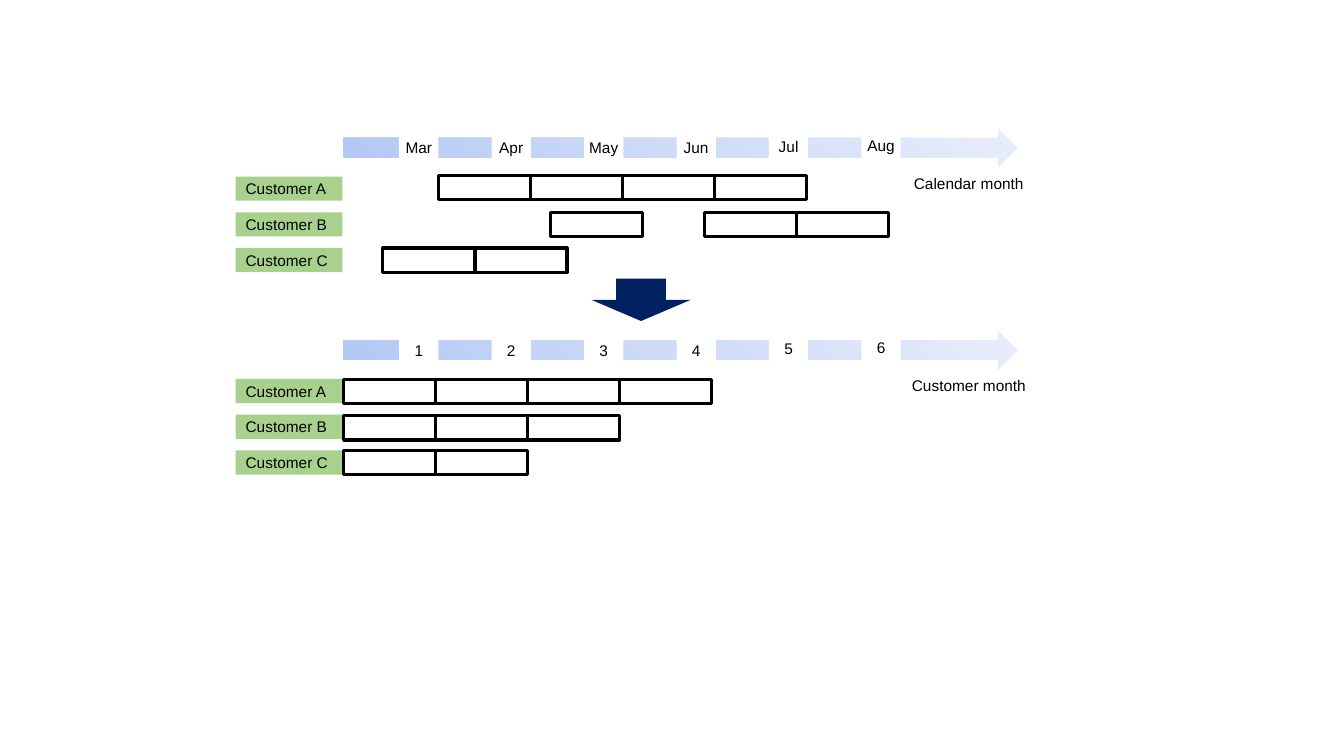
from dataclasses import dataclass

from pptx import Presentation
from pptx.dml.color import RGBColor
from pptx.enum.shapes import MSO_SHAPE
from pptx.enum.text import MSO_ANCHOR, PP_ALIGN
from pptx.oxml import parse_xml
from pptx.oxml.ns import nsdecls, qn
from pptx.shapes.autoshape import Shape
from pptx.shapes.shapetree import GroupShapes
from pptx.util import Cm, Pt

RECTANGLE = MSO_SHAPE.RECTANGLE
RIGHT_ARROW = MSO_SHAPE.RIGHT_ARROW
MIDDLE = MSO_ANCHOR.MIDDLE
LEFT, CENTER = PP_ALIGN.LEFT, PP_ALIGN.CENTER

BLACK, WHITE, GREEN, NAVY = "000000", "FFFFFF", "A9D18E", "002060"
TIMELINE_STOPS = ((0, "B2C8F5"), (50, "CFDCF8"), (100, "E7EDFB"))

# Lengths in centimetres
TIMELINE_LEFT, TIMELINE_WIDTH, TIMELINE_HEIGHT = 8.66, 16.99, 0.99
TICK_LEFT, TICK_PITCH, TICK_SIZE = 10.06, 2.33, 0.99
TICK_SHIFTS = (0, 0, 0, 0, -0.04, -0.06)
LABEL_LEFT, LABEL_WIDTH = 5.94, 2.69
FIRST_ROW_DROP, ROW_PITCH, ROW_HEIGHT = 1.22, 0.9, 0.61
CELL_WIDTH = 2.32
CAPTION_DROP, CAPTION_WIDTH, CAPTION_HEIGHT = 0.96, 3.68, 0.84


@dataclass(frozen=True)
class Span:
    """Unbroken months of one customer, in a row counted from zero."""

    row: int
    left: float
    months: int
    shift: float = 0


@dataclass(frozen=True)
class Panel:
    top: float
    ticks: tuple[str, ...]
    caption: str
    caption_left: float
    spans: tuple[Span, ...]


CUSTOMERS = ("Customer A", "Customer B", "Customer C")
PANELS = (
    Panel(
        3.23, ("Mar", "Apr", "May", "Jun", "Jul", "Aug"), "Calendar month", 22.78,
        (Span(0, 11.05, 4, -0.03), Span(1, 13.87, 1), Span(1, 17.76, 2), Span(2, 9.65, 2)),
    ),
    Panel(
        8.33, ("1", "2", "3", "4", "5", "6"), "Customer month", 22.73,
        (
            Span(0, TIMELINE_LEFT, 4, 0.02),
            Span(1, TIMELINE_LEFT, 3, 0.03),
            Span(2, TIMELINE_LEFT, 2),
        ),
    ),
)


def color(value: str) -> RGBColor:
    return RGBColor.from_string(value)


def add_block(
    shapes: GroupShapes, kind: MSO_SHAPE, left: float, top: float,
    width: float, height: float, fill: str | None, outlined: bool = False,
) -> Shape:
    block = shapes.add_shape(kind, Cm(left), Cm(top), Cm(width), Cm(height))
    block.shadow.inherit = False
    if fill:
        block.fill.solid()
        block.fill.fore_color.rgb = color(fill)
    if outlined:
        block.line.color.rgb = color(BLACK)
        block.line.width = Pt(2.25)
    else:
        block.line.fill.background()
    return block


def write(box: Shape, text: str, align: PP_ALIGN = LEFT) -> None:
    frame = box.text_frame
    frame.word_wrap = True
    frame.vertical_anchor = MIDDLE
    para = frame.paragraphs[0]
    para.alignment = align
    span = para.add_run()
    span.text = text
    span.font.name = "Arial"
    span.font.size = Pt(11)
    span.font.color.rgb = color(BLACK)


def add_timeline(shapes: GroupShapes, top: float) -> None:
    """Draw the arrow with a radial gradient centred on its lower left corner."""
    arrow = add_block(
        shapes, RIGHT_ARROW, TIMELINE_LEFT, top, TIMELINE_WIDTH, TIMELINE_HEIGHT, None
    )
    stops = "".join(
        f'<a:gs pos="{percent * 1000}"><a:srgbClr val="{value}"/></a:gs>'
        for percent, value in TIMELINE_STOPS
    )
    gradient = parse_xml(
        f'<a:gradFill {nsdecls("a")} rotWithShape="1"><a:gsLst>{stops}</a:gsLst>'
        '<a:path path="circle"><a:fillToRect t="100000" r="100000"/></a:path></a:gradFill>'
    )
    arrow._element.spPr.find(qn("a:prstGeom")).addnext(gradient)


def add_panel(shapes: GroupShapes, panel: Panel) -> None:
    add_timeline(shapes, panel.top)
    for index, (text, shift) in enumerate(zip(panel.ticks, TICK_SHIFTS)):
        tick = add_block(
            shapes, RECTANGLE, TICK_LEFT + index * TICK_PITCH, panel.top + shift,
            TICK_SIZE, TICK_SIZE, WHITE,
        )
        tick.text_frame.margin_left = tick.text_frame.margin_right = 0
        write(tick, text, CENTER)

    row_tops = [panel.top + FIRST_ROW_DROP + row * ROW_PITCH for row in range(len(CUSTOMERS))]
    for customer, top in zip(CUSTOMERS, row_tops):
        label = add_block(
            shapes, RECTANGLE, LABEL_LEFT, top, LABEL_WIDTH, ROW_HEIGHT, GREEN
        )
        write(label, customer)
    for span in panel.spans:
        for month in range(span.months):
            add_block(
                shapes, RECTANGLE, span.left + month * CELL_WIDTH,
                row_tops[span.row] + span.shift, CELL_WIDTH, ROW_HEIGHT, WHITE, outlined=True,
            )

    caption = shapes.add_textbox(
        Cm(panel.caption_left), Cm(panel.top + CAPTION_DROP),
        Cm(CAPTION_WIDTH), Cm(CAPTION_HEIGHT),
    )
    write(caption, panel.caption)


def main() -> None:
    deck = Presentation()
    deck.slide_width, deck.slide_height = Cm(33.87), Cm(19.05)
    page = deck.slides.add_slide(deck.slide_layouts[6])
    diagram = page.shapes.add_group_shape().shapes
    for panel in PANELS:
        add_panel(diagram, panel)
    down_arrow = add_block(diagram, RIGHT_ARROW, 15.62, 6.3, 1.07, 2.51, NAVY)
    down_arrow.rotation = 90
    deck.save("out.pptx")


if __name__ == "__main__":
    main()
